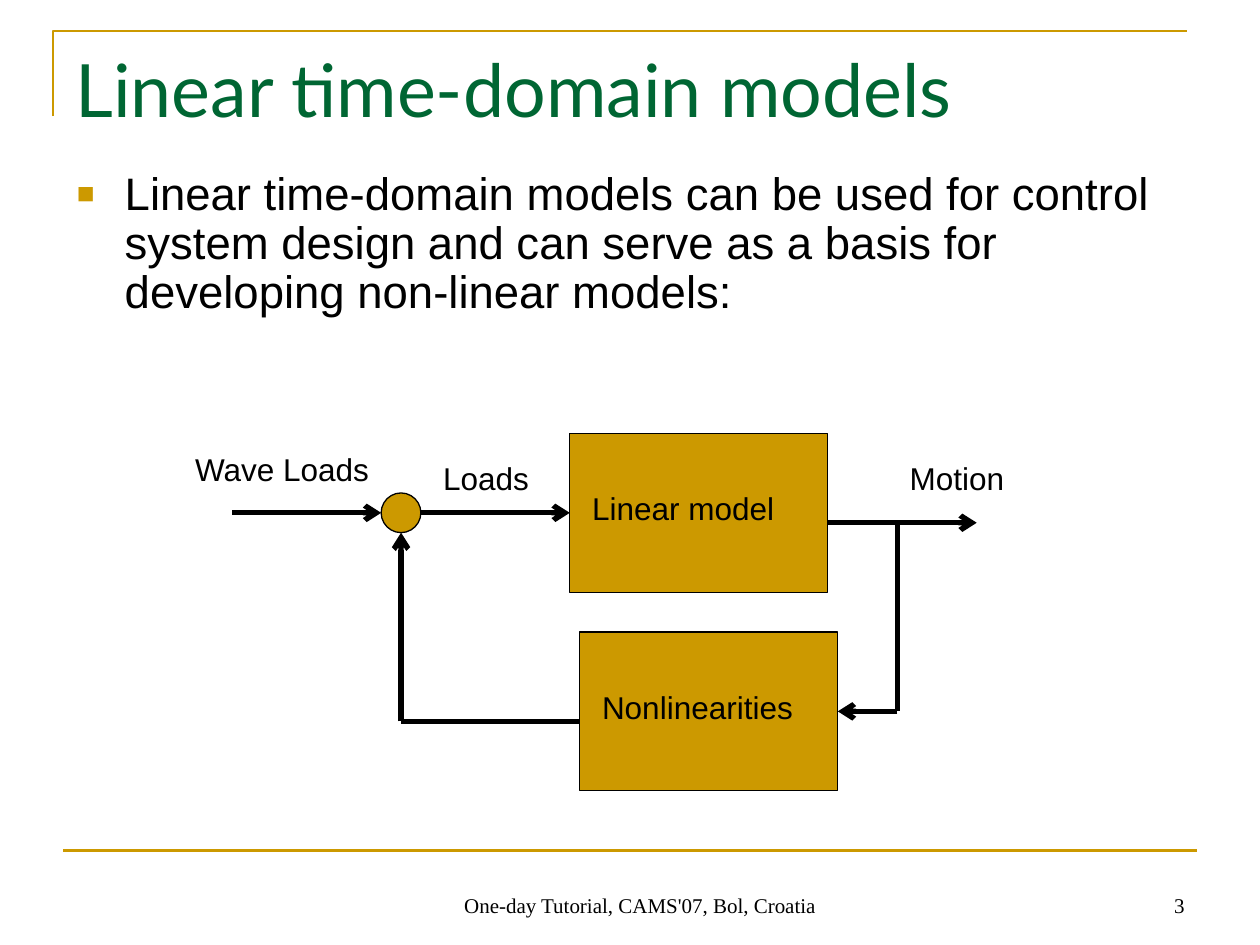
import lxml.etree
import pptx
import pptx.dml.color
import pptx.enum.shapes
import pptx.enum.text
import pptx.oxml.ns
import pptx.util

GOLD = pptx.dml.color.RGBColor(0xCC, 0x99, 0x00)
GREEN = pptx.dml.color.RGBColor(0x00, 0x66, 0x33)
BLACK = pptx.dml.color.RGBColor(0x00, 0x00, 0x00)

Inches = pptx.util.Inches
SHAPE = pptx.enum.shapes.MSO_SHAPE
ALIGN = pptx.enum.text.PP_ALIGN
ANCHOR = pptx.enum.text.MSO_ANCHOR

# The diagram sits on a grid of square cells.
GRID_COLUMNS = 90
BLOCK_SIZE = (26, 16)
LABEL_SIZE = (23, 5)


def add_xml(parent, tag, **attributes):
    return lxml.etree.SubElement(parent, pptx.oxml.ns.qn(tag), attributes)


def style_text(para, text, name, size, color, align=ALIGN.LEFT):
    para.text = text
    para.alignment = align
    para.font.name = name
    para.font.size = pptx.util.Pt(size)
    para.font.color.rgb = color


def add_text(page, box, text, name, size, align=ALIGN.LEFT, anchor=ANCHOR.TOP):
    frame = page.shapes.add_textbox(*map(Inches, box)).text_frame
    frame.word_wrap = True
    frame.vertical_anchor = anchor
    style_text(frame.paragraphs[0], text, name, size, BLACK, align)


def add_line(page, start, end, color, width, arrow=False):
    line = page.shapes.add_connector(
        pptx.enum.shapes.MSO_CONNECTOR.STRAIGHT, *map(Inches, (*start, *end)))
    line.line.color.rgb = color
    line.line.width = pptx.util.Pt(width)
    if arrow:
        add_xml(line.line._get_or_add_ln(), "a:tailEnd", type="arrow")
    add_xml(line._element.spPr, "a:effectLst")


def add_frame(page, box):
    """Draw the corner rule above the title and the rule above the footer."""
    left, top, width, height = box
    right = left + 0.9 * width
    corner_left, corner_top = left + 0.042 * width, top + 0.033 * height
    builder = page.shapes.build_freeform(
        Inches(corner_left), Inches(corner_top + 0.09 * height))
    builder.add_line_segments(
        [(Inches(corner_left), Inches(corner_top)),
         (Inches(corner_left + 0.9 * width), Inches(corner_top))], close=False)
    corner = builder.convert_to_shape()
    corner.shadow.inherit = False
    corner.fill.background()
    corner.line.color.rgb = GOLD
    corner.line.width = pptx.util.Pt(1.5)
    rule = top + 0.9 * height
    add_line(page, (left + 0.05 * width, rule), (right + 0.05 * width, rule), GOLD, 1.5)


def add_footer(page, box):
    left, top, width, height = box
    number_width = 0.26 * width
    parts = [
        (left + 0.29 * width, 0.438 * width, "One-day Tutorial, CAMS'07, Bol, Croatia", ALIGN.CENTER),
        (left + width - number_width, number_width, "3", ALIGN.RIGHT),
    ]
    for part_left, part_width, text, align in parts:
        add_text(page, (part_left, top, part_width, height), text,
                 "Times New Roman", 12, align, ANCHOR.BOTTOM)


def place_placeholder(holder, box):
    holder.left, holder.top, holder.width, holder.height = map(Inches, box)
    frame = holder.text_frame
    frame.auto_size = pptx.enum.text.MSO_AUTO_SIZE.NONE
    frame.vertical_anchor = ANCHOR.TOP
    return frame.paragraphs[0]


def fill_title(page, box):
    para = place_placeholder(page.shapes.title, box)
    style_text(para, "Linear time-domain models", "Lato", 42, GREEN)


def fill_body(page, box):
    para = place_placeholder(page.placeholders[1], box)
    para.line_spacing = 0.9
    para.space_before = pptx.util.Pt(0)
    properties = para._p.get_or_add_pPr()
    properties.set("marL", str(Inches(0.38)))
    properties.set("indent", str(-Inches(0.38)))
    add_xml(add_xml(properties, "a:buClr"), "a:srgbClr", val=str(GOLD))
    add_xml(properties, "a:buSzPct", val="65000")
    add_xml(properties, "a:buFont", typeface="Arial")
    add_xml(properties, "a:buChar", char="■")
    style_text(para, "Linear time-domain models can be used for control system design "
               "and can serve as a basis for developing non-linear models:",
               "Arial", 26, BLACK)


def add_diagram(page, box):
    """Draw the feedback loop; positions are (column, row) in the box's grid."""
    left, top, width, _ = box
    cell = width / GRID_COLUMNS

    def point(column, row):
        return left + column * cell, top + row * cell

    def area(position, size):
        return (*point(*position), size[0] * cell, size[1] * cell)

    def add_node(kind, position, size):
        node = page.shapes.add_shape(kind, *map(Inches, area(position, size)))
        node.shadow.inherit = False
        node.fill.solid()
        node.fill.fore_color.rgb = GOLD
        node.line.color.rgb = BLACK
        node.line.width = pptx.util.Pt(0.75)

    def add_label(position, text):
        add_text(page, area(position, LABEL_SIZE), text, "Arial", 18)

    for (column, row), text in [((39, 0), "Linear model"), ((40, 20), "Nonlinearities")]:
        add_node(SHAPE.RECTANGLE, (column, row), BLOCK_SIZE)
        add_label((column + 1, row + 5), text)
    add_node(SHAPE.OVAL, (20, 6), (4, 4))

    links = [
        ((5, 8), (20, 8), True),
        ((24, 8), (39, 8), True),
        ((65, 9), (80, 9), True),
        ((72, 28), (72, 9), False),
        ((72, 28), (66, 28), True),
        ((22, 29), (40, 29), False),
        ((22, 29), (22, 10), True),
    ]
    for start, end, arrow in links:
        add_line(page, point(*start), point(*end), BLACK, 3, arrow)

    for position, text in [((0, 1), "Wave Loads"), ((25, 2), "Loads"), ((72, 2), "Motion")]:
        add_label(position, text)


def main():
    deck = pptx.Presentation()
    deck.slide_width, deck.slide_height = Inches(10), Inches(7.5)
    page = deck.slides.add_slide(deck.slide_layouts[1])
    add_frame(page, (0, 0, 10, 7.5))
    add_footer(page, (0.5, 6.83, 9, 0.5))
    fill_title(page, (0.5, 0.3, 9, 1.25))
    fill_body(page, (0.51, 1.31, 9, 1.29))
    add_diagram(page, (1.45, 3.44, 7.09, 2.83))
    deck.save("out.pptx")


if __name__ == "__main__":
    main()
